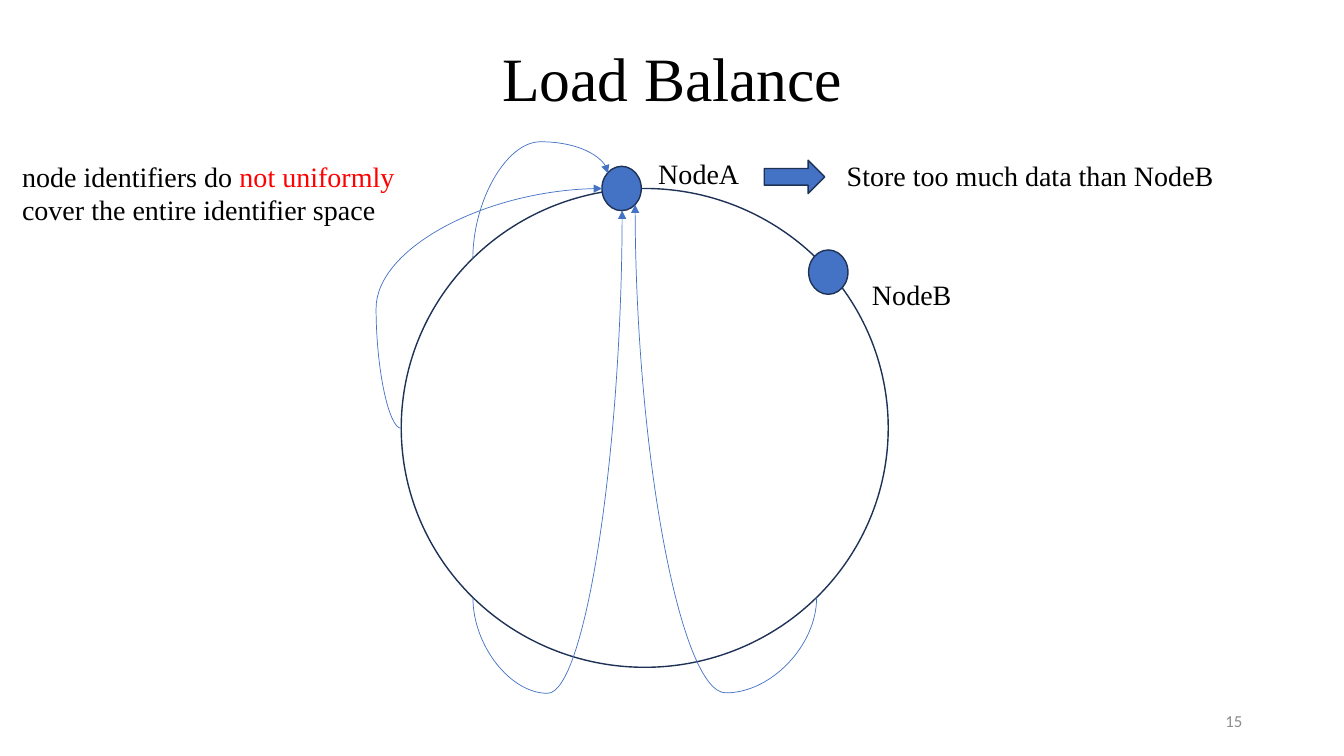
"""Build the Load Balance slide: a node ring with keys mapped to NodeA."""
from dataclasses import dataclass

import pptx
import pptx.dml.color
import pptx.enum.shapes
import pptx.enum.text
import pptx.oxml.ns
import pptx.oxml.xmlchemy
import pptx.slide
import pptx.util

Inches = pptx.util.Inches
Pt = pptx.util.Pt
Shape = pptx.enum.shapes.MSO_SHAPE
Align = pptx.enum.text.PP_ALIGN
Anchor = pptx.enum.text.MSO_ANCHOR
OxmlElement = pptx.oxml.xmlchemy.OxmlElement

BLUE, NAVY, BLACK, RED, GRAY = "4472C4", "1E3256", "000000", "FF0000", "8C8C8C"
SERIF = "Times New Roman"


@dataclass
class Label:
    box: tuple[float, float, float, float]
    runs: list[tuple[str, str]]
    size: float = 20
    font: str = SERIF
    align: Align = Align.LEFT
    anchor: Anchor = Anchor.TOP
    spacing: float = 1.0


@dataclass
class Figure:
    kind: Shape
    box: tuple[float, float, float, float]
    fill: str | None = BLUE


@dataclass
class KeyArrow:
    start: tuple[float, float]
    end: tuple[float, float]
    rotation: int
    bend: float


LABELS = [
    Label((9.42, 6.95, 3, 0.4), [("15", GRAY)], 12, "Calibri", Align.RIGHT, Anchor.MIDDLE),
    Label((0.92, 0.08, 11.5, 1.45), [("Load Balance", BLACK)], 44,
          align=Align.CENTER, anchor=Anchor.MIDDLE, spacing=0.9),
    Label((6.43, 1.5, 1.09, 0.74), [("NodeA", BLACK)]),
    Label((8.55, 2.7, 1.09, 0.74), [("NodeB", BLACK)]),
    Label((8.3, 1.52, 4.04, 0.44), [("Store too much data than NodeB", BLACK)]),
    Label((0.12, 1.53, 4.41, 0.77), [("node identifiers do ", BLACK), ("not uniformly ", RED),
                                     ("cover the entire identifier space", BLACK)]),
]
FIGURES = [
    Figure(Shape.OVAL, (3.98, 1.87, 4.83, 4.75), None),
    Figure(Shape.OVAL, (5.97, 1.65, 0.39, 0.44)),
    Figure(Shape.OVAL, (8.02, 2.48, 0.39, 0.44)),
    Figure(Shape.RIGHT_ARROW, (7.58, 1.59, 0.6, 0.33)),
]
KEY_ARROWS = [
    KeyArrow((4.69, 2.57), (6.03, 1.72), 90, 1.369),
    KeyArrow((3.98, 4.25), (5.97, 1.87), 180, -0.126),
    KeyArrow((4.69, 5.93), (6.17, 2.09), 90, -0.247),
    KeyArrow((8.1, 5.93), (6.3, 2.03), 90, -0.242),
]


def rgb(color: str) -> pptx.dml.color.RGBColor:
    """Turn a hex string into a colour."""
    return pptx.dml.color.RGBColor.from_string(color)


def add_label(s: pptx.slide.Slide, label: Label) -> None:
    """Draw one text box."""
    tf = s.shapes.add_textbox(*map(Inches, label.box)).text_frame
    tf.word_wrap = True
    tf.vertical_anchor = label.anchor
    p = tf.paragraphs[0]
    p.alignment = label.align
    p.line_spacing = label.spacing
    p.font.size = Pt(label.size)
    p.font.name = label.font
    for text, color in label.runs:
        r = p.add_run()
        r.text = text
        r.font.color.rgb = rgb(color)


def add_figure(s: pptx.slide.Slide, figure: Figure) -> None:
    """Draw one outlined shape, filled or hollow."""
    sp = s.shapes.add_shape(figure.kind, *map(Inches, figure.box))
    sp.shadow.inherit = False
    if figure.fill:
        sp.fill.solid()
        sp.fill.fore_color.rgb = rgb(figure.fill)
    else:
        sp.fill.background()
    sp.line.color.rgb = rgb(NAVY)
    sp.line.width = Pt(1)


def add_key_arrow(s: pptx.slide.Slide, arrow: KeyArrow) -> None:
    """Draw one rising curved arrow, turned about the middle of its ends."""
    (x1, y1), (x2, y2) = arrow.start, arrow.end
    cx, cy = (x1 + x2) / 2, (y1 + y2) / 2
    w, h = abs(x2 - x1), abs(y2 - y1)
    flip_v = False
    if arrow.rotation == 90:
        w, h = h, w
        flip_v = x2 > x1
    dy = h / 2 if flip_v else -h / 2
    cxn = s.shapes.add_connector(
        pptx.enum.shapes.MSO_CONNECTOR.CURVE,
        *map(Inches, (cx + w / 2, cy + dy, cx - w / 2, cy - dy)))
    cxn.line.color.rgb = rgb(BLUE)
    cxn.line.width = Pt(0.5)
    sp_pr = cxn._element.spPr
    sp_pr.find(pptx.oxml.ns.qn("a:xfrm")).set("rot", str(arrow.rotation * 60000))
    av_lst = sp_pr.find(pptx.oxml.ns.qn("a:prstGeom")).get_or_add_avLst()
    guide = OxmlElement("a:gd")
    guide.set("name", "adj1")
    guide.set("fmla", f"val {round(arrow.bend * 100000)}")
    av_lst.append(guide)
    tail = OxmlElement("a:tailEnd")
    tail.set("type", "triangle")
    sp_pr.find(pptx.oxml.ns.qn("a:ln")).append(tail)
    sp_pr.append(OxmlElement("a:effectLst"))


def main() -> None:
    """Build and save the slide."""
    prs = pptx.Presentation()
    prs.slide_width, prs.slide_height = Inches(13.33), Inches(7.5)
    s = prs.slides.add_slide(prs.slide_layouts[6])
    for figure in FIGURES:
        add_figure(s, figure)
    for arrow in KEY_ARROWS:
        add_key_arrow(s, arrow)
    for label in LABELS:
        add_label(s, label)
    prs.save("out.pptx")


if __name__ == "__main__":
    main()
